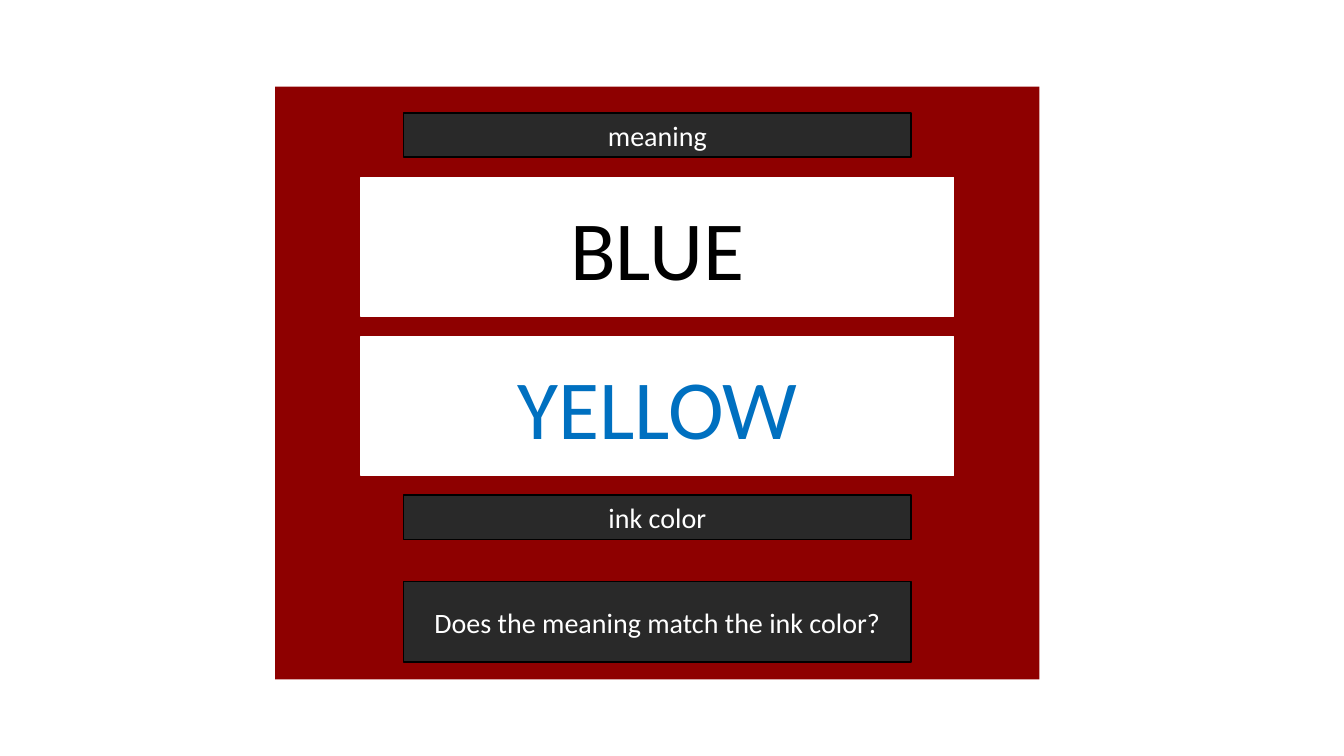
"""Build a colour-word matching slide with labels, word cards and a question."""
from dataclasses import dataclass

import pptx
import pptx.dml.color
import pptx.enum.shapes
import pptx.enum.text
import pptx.util


@dataclass(frozen=True)
class Theme:
    font: str = "Calibri"
    panel: str = "8E0000"
    dark: str = "292929"
    black: str = "000000"
    white: str = "FFFFFF"
    blue: str = "0070C0"
    label_size: int = 20
    word_size: int = 60
    border: int = 1


THEME = Theme()
SLIDE_SIZE = (13.33, 7.5)
PANEL = (2.73, 0.86, 7.58, 5.88)
LABEL_WIDTH, CARD_WIDTH, CARD_HEIGHT = 5.03, 5.88, 1.38
LABELS = [
    ("meaning", 1.12, 0.44),
    ("ink color", 4.91, 0.44),
    ("Does the meaning match the ink color?", 5.77, 0.8),
]
WORDS = [("BLUE", 1.76, THEME.black), ("YELLOW", 3.34, THEME.blue)]


def rgb(value):
    return pptx.dml.color.RGBColor.from_string(value)


def add_box(page, left, top, width, height, fill, line=None):
    box = page.shapes.add_shape(
        pptx.enum.shapes.MSO_SHAPE.RECTANGLE,
        *(pptx.util.Inches(length) for length in (left, top, width, height)),
    )
    box.shadow.inherit = False
    box.fill.solid()
    box.fill.fore_color.rgb = rgb(fill)
    if line is None:
        box.line.fill.background()
    else:
        box.line.color.rgb = rgb(line)
        box.line.width = pptx.util.Pt(THEME.border)
    return box


def add_centred_box(page, text, top, width, height, fill, line, size, color):
    left = PANEL[0] + (PANEL[2] - width) / 2
    box = add_box(page, left, top, width, height, fill, line)
    frame = box.text_frame
    frame.word_wrap = True
    frame.vertical_anchor = pptx.enum.text.MSO_ANCHOR.MIDDLE
    para = frame.paragraphs[0]
    para.text = text
    para.alignment = pptx.enum.text.PP_ALIGN.CENTER
    para.font.name = THEME.font
    para.font.size = pptx.util.Pt(size)
    para.font.color.rgb = rgb(color)


def main():
    deck = pptx.Presentation()
    deck.slide_width, deck.slide_height = map(pptx.util.Inches, SLIDE_SIZE)
    page = deck.slides.add_slide(deck.slide_layouts[6])
    add_box(page, *PANEL, THEME.panel)
    for text, top, height in LABELS:
        add_centred_box(page, text, top, LABEL_WIDTH, height,
                        THEME.dark, THEME.black, THEME.label_size, THEME.white)
    for text, top, ink in WORDS:
        add_centred_box(page, text, top, CARD_WIDTH, CARD_HEIGHT,
                        THEME.white, THEME.white, THEME.word_size, ink)
    deck.save("out.pptx")


if __name__ == "__main__":
    main()
